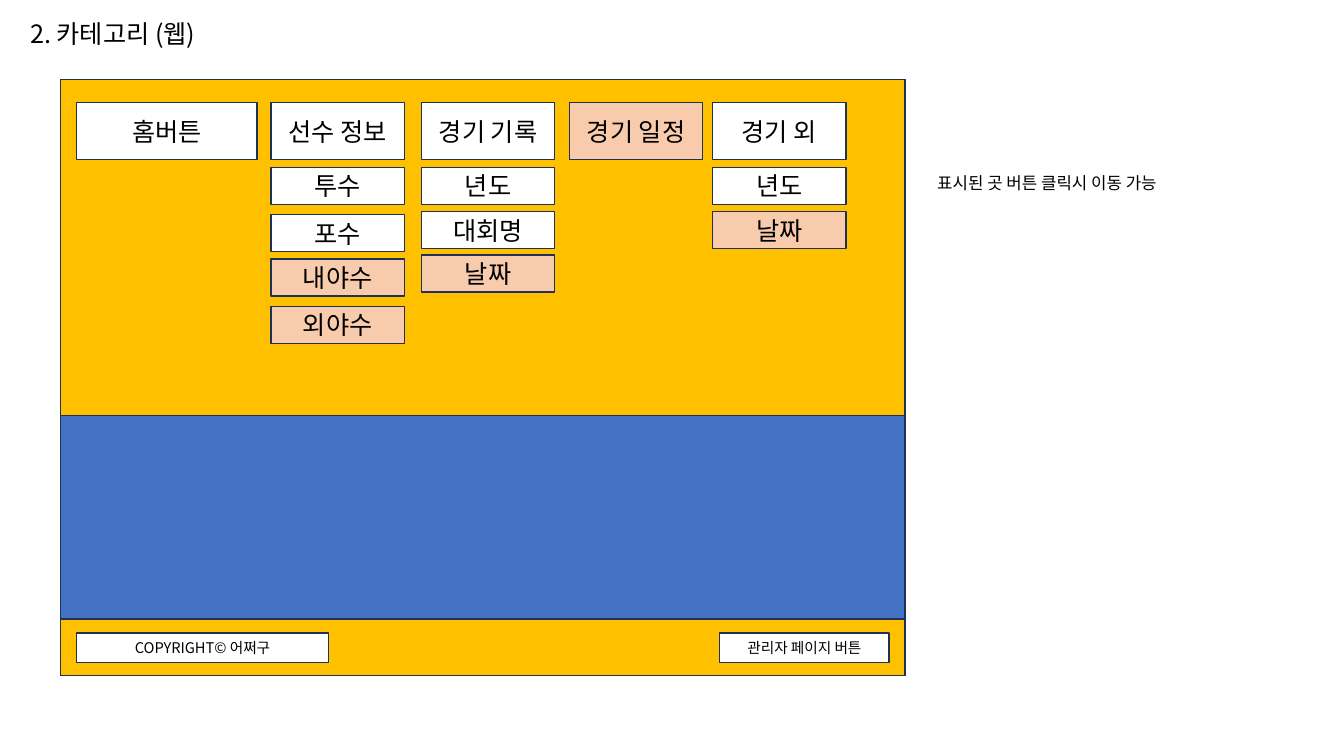
import pptx
import pptx.util
import pptx.dml.color
import pptx.enum.shapes
import pptx.enum.text
import pptx.oxml.ns
import lxml.etree

Cm = pptx.util.Cm
RGBColor = pptx.dml.color.RGBColor
ALIGN = pptx.enum.text.PP_ALIGN
ANCHOR = pptx.enum.text.MSO_ANCHOR
FIT = pptx.enum.text.MSO_AUTO_SIZE

BLUE = RGBColor(0x44, 0x72, 0xC4)
GOLD = RGBColor(0xFF, 0xC0, 0x00)
WHITE = RGBColor(0xFF, 0xFF, 0xFF)
PEACH = RGBColor(0xF8, 0xCB, 0xAD)
NAVY = RGBColor(0x1E, 0x32, 0x56)
BLACK = RGBColor(0x00, 0x00, 0x00)
FONT = "Noto Sans CJK KR"

deck = pptx.Presentation()
deck.slide_width = Cm(33.87)
deck.slide_height = Cm(19.05)
slide = deck.slides.add_slide(deck.slide_layouts[6])


def write(frame, text, size, align, form):
    for key, value in form.items():
        setattr(frame, key, value)
    para = frame.paragraphs[0]
    para.alignment = align
    run = para.add_run()
    run.text = text
    look = {"name": FONT, "size": pptx.util.Pt(size)}
    for key, value in look.items():
        setattr(run.font, key, value)
    run.font.color.rgb = BLACK
    # Korean glyphs take the East Asian typeface
    east = lxml.etree.SubElement(run.font._element, pptx.oxml.ns.qn("a:ea"))
    east.set("typeface", FONT)


def box(left, top, width, height, fill, text="", size=18):
    shape = slide.shapes.add_shape(
        pptx.enum.shapes.MSO_SHAPE.RECTANGLE,
        Cm(left), Cm(top), Cm(width), Cm(height))
    shape.shadow.inherit = False
    shape.fill.solid()
    shape.fill.fore_color.rgb = fill
    shape.line.color.rgb = NAVY
    shape.line.width = pptx.util.Pt(1)
    if text:
        form = {"word_wrap": True, "vertical_anchor": ANCHOR.MIDDLE}
        write(shape.text_frame, text, size, ALIGN.CENTER, form)


# Page frame: body, top menu, footer
for top, height, fill in [(2.01, 15.01, BLUE), (2.01, 8.46, GOLD),
                          (15.6, 1.42, GOLD)]:
    box(1.52, top, 21.29, height, fill)

# Menu: each heading with its entries below
HEAD = 2.59
EVEN = [4.22, 5.33, 6.43]
LOOSE = [4.22, 5.41, 6.53, 7.72]
menu = [
    (1.93, 4.55, "홈버튼", WHITE, EVEN, []),
    (6.83, 3.36, "선수 정보", WHITE, LOOSE,
     [("투수", WHITE), ("포수", WHITE), ("내야수", PEACH), ("외야수", PEACH)]),
    (10.62, 3.36, "경기 기록", WHITE, EVEN,
     [("년도", WHITE), ("대회명", WHITE), ("날짜", PEACH)]),
    (14.35, 3.36, "경기 일정", PEACH, EVEN, []),
    (17.96, 3.36, "경기 외", WHITE, EVEN, [("년도", WHITE), ("날짜", PEACH)]),
]
for left, width, title, fill, tops, items in menu:
    box(left, HEAD, width, 1.43, fill, title)
    for top, (name, tint) in zip(tops, items):
        box(left, top, width, 0.93, tint, name)

# Footer buttons
for left, width, text in [(1.93, 6.35, "COPYRIGHT© 어쩌구"),
                          (18.14, 4.27, "관리자 페이지 버튼")]:
    box(left, 15.95, width, 0.75, WHITE, text, 10.5)

# Heading and side note
for left, top, width, height, text, size, wrap in [
        (0.51, 0.33, 6.96, 1.02, "2. 카테고리 (웹)", 18, True),
        (23.37, 4.22, 6.83, 0.76, "표시된 곳 버튼 클릭시 이동 가능", 12, False)]:
    label = slide.shapes.add_textbox(Cm(left), Cm(top), Cm(width), Cm(height))
    form = {"word_wrap": wrap, "auto_size": FIT.SHAPE_TO_FIT_TEXT}
    write(label.text_frame, text, size, ALIGN.LEFT, form)

deck.save("out.pptx")
